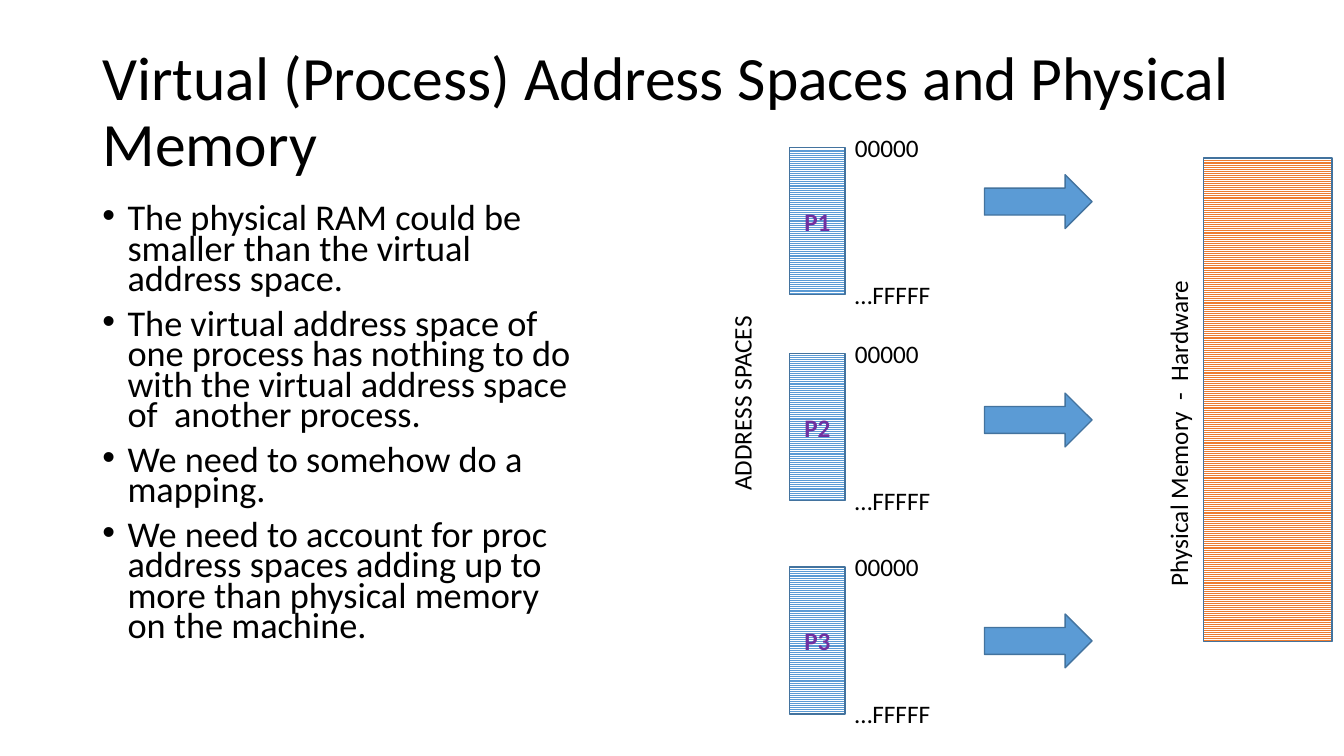
from pptx import Presentation
from pptx.dml.color import RGBColor
from pptx.enum.dml import MSO_PATTERN
from pptx.enum.shapes import MSO_SHAPE as SHAPE
from pptx.enum.text import MSO_ANCHOR as ANCHOR, PP_ALIGN as ALIGN
from pptx.oxml.ns import qn
from pptx.util import Inches, Pt
from lxml import etree

BLACK = RGBColor(0x00, 0x00, 0x00)
WHITE = RGBColor(0xFF, 0xFF, 0xFF)
BLUE = RGBColor(0x5B, 0x9B, 0xD5)
DARK_BLUE = RGBColor(0x43, 0x73, 0x9E)
ORANGE = RGBColor(0xED, 0x7D, 0x31)
PURPLE = RGBColor(0x70, 0x30, 0xA0)

FONT = "Calibri"
WIDTH, HEIGHT = Inches(13.33), Inches(7.5)
COLUMNS, ROWS = 160, 90

TITLE = "Virtual (Process) Address Spaces and Physical Memory"
POINTS = [
    "The physical RAM could be smaller than the virtual address space.",
    "The virtual address space of one process has nothing to do with the "
    "virtual address space of  another process.",
    "We need to somehow do a mapping.",
    "We need to account for proc address spaces adding up to more than "
    "physical memory on the machine.",
]
# Process name, top row of its address space, top row of its arrow
PROCESSES = [("P1", 17.6, 20.8), ("P2", 42.1, 46.8), ("P3", 67.5, 73.1)]
SPACE_LEFT, SPACE_WIDTH, SPACE_HEIGHT = 94, 6.6, 17.5
LABEL_HEIGHT = 4.8


def grid(left, top, width, height):
    """Turn columns and rows of the slide grid into lengths."""
    col, row = WIDTH / COLUMNS, HEIGHT / ROWS
    return [round(n) for n in (left * col, top * row, width * col, height * row)]


def add_bullet(p):
    pPr = p._p.get_or_add_pPr()
    pPr.set("marL", str(Inches(0.25)))
    pPr.set("indent", str(-Inches(0.25)))
    etree.SubElement(pPr, qn("a:buFont")).set("typeface", "Arial")
    etree.SubElement(pPr, qn("a:buChar")).set("char", "•")


def write(tf, *texts, size=18, color=BLACK, bold=False, align=ALIGN.LEFT,
          anchor=ANCHOR.TOP, wrap=True, spacing=1.0, before=0, bullets=False):
    tf.word_wrap = wrap
    tf.vertical_anchor = anchor
    for i, text in enumerate(texts):
        p = tf.add_paragraph() if i else tf.paragraphs[0]
        p.alignment = align
        p.line_spacing = spacing
        p.space_before = Pt(before if i else 0)
        if bullets:
            add_bullet(p)
        r = p.add_run()
        r.text = text
        r.font.name, r.font.size = FONT, Pt(size)
        r.font.bold = bold
        r.font.color.rgb = color


def add_text(slide, box, *texts, rotation=0, **style):
    sp = slide.shapes.add_textbox(*grid(*box))
    sp.rotation = rotation
    write(sp.text_frame, *texts, **style)


def add_outlined(slide, kind, box):
    sp = slide.shapes.add_shape(kind, *grid(*box))
    sp.shadow.inherit = False
    sp.line.color.rgb = DARK_BLUE
    sp.line.width = Pt(1)
    return sp


def add_striped(slide, box, color):
    sp = add_outlined(slide, SHAPE.RECTANGLE, box)
    sp.fill.patterned()
    sp.fill.pattern = MSO_PATTERN.LIGHT_HORIZONTAL
    sp.fill.fore_color.rgb = color
    sp.fill.back_color.rgb = WHITE
    return sp


def add_arrow(slide, top):
    sp = add_outlined(slide, SHAPE.RIGHT_ARROW, (117.2, top, 12.8, 6.4))
    sp.fill.solid()
    sp.fill.fore_color.rgb = BLUE


def add_address_space(slide, name, top):
    """Draw a process's striped block with its first and last address."""
    sp = add_striped(slide, (SPACE_LEFT, top, SPACE_WIDTH, SPACE_HEIGHT), BLUE)
    write(sp.text_frame, name, color=PURPLE, bold=True, align=ALIGN.CENTER,
          anchor=ANCHOR.MIDDLE, wrap=False)
    for address, edge, width in (("00000", top, 10.1),
                                 ("…FFFFF", top + SPACE_HEIGHT, 11.6)):
        add_text(slide, (SPACE_LEFT + SPACE_WIDTH, edge - LABEL_HEIGHT / 2,
                         width, LABEL_HEIGHT), address, wrap=False)


def main():
    prs = Presentation()
    prs.slide_width, prs.slide_height = WIDTH, HEIGHT
    slide = prs.slides.add_slide(prs.slide_layouts[6])

    add_text(slide, (11, 4.8, 138, 17.4), TITLE, size=44, spacing=0.9,
             anchor=ANCHOR.MIDDLE)
    add_text(slide, (11, 24, 59, 57.1), *POINTS, size=25.9, spacing=0.7,
             before=10, bullets=True)

    add_striped(slide, (143.3, 18.8, 15.3, 57.6), ORANGE)
    for name, space_top, arrow_top in PROCESSES:
        add_address_space(slide, name, space_top)
        add_arrow(slide, arrow_top)

    add_text(slide, (76.6, 45.5, 23.4, LABEL_HEIGHT), "ADDRESS SPACES",
             rotation=270, wrap=False)
    add_text(slide, (120.7, 49, 39.1, LABEL_HEIGHT),
             "Physical Memory  -  Hardware", rotation=270, wrap=False)

    prs.save("out.pptx")


if __name__ == "__main__":
    main()
